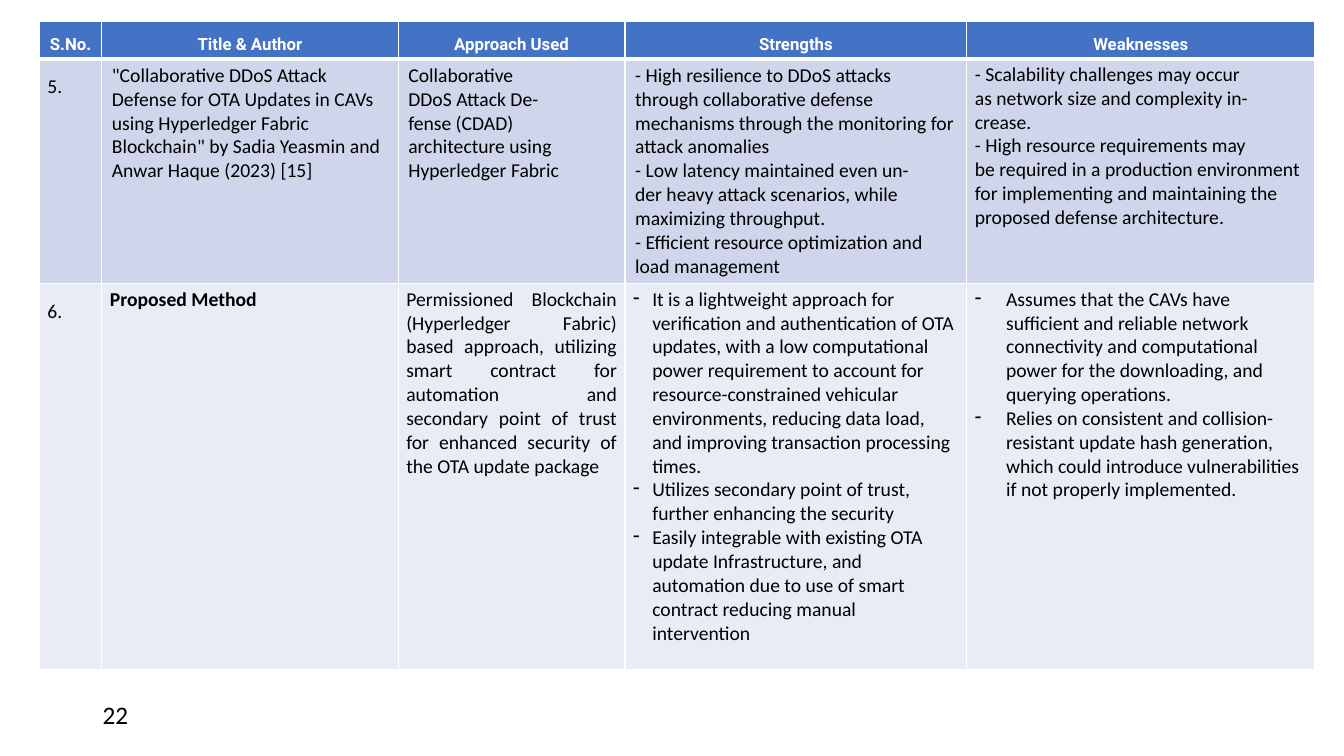
from dataclasses import dataclass

from lxml.etree import SubElement
from pptx import Presentation
from pptx.dml.color import RGBColor
from pptx.enum.text import MSO_ANCHOR as Anchor, PP_ALIGN as Align
from pptx.oxml.ns import qn
from pptx.util import Pt

PX = 9144  # EMU per px, 100 px to the inch

WHITE = RGBColor(0xFF, 0xFF, 0xFF)
BLACK = RGBColor(0x00, 0x00, 0x00)
HEADER_BLUE = RGBColor(0x44, 0x72, 0xC4)
BAND_DARK = RGBColor(0xCF, 0xD5, 0xEA)
BAND_LIGHT = RGBColor(0xE9, 0xEB, 0xF5)

COLUMN_WIDTHS = [62, 294, 225, 339, 345]
ROW_HEIGHTS = [33, 209, 383]
HEADER_INSETS, TIGHT, WIDE = (7, 4), (8, 4), (10, 5)


@dataclass
class Entry:
    paragraphs: list
    insets: tuple = TIGHT
    align: Align = Align.LEFT
    spacing: float = 1.0
    bold: bool = False
    dash_indent: int = 0


def number_entry(text):
    return Entry([text], align=Align.JUSTIFY, spacing=1.5)


HEADERS = ["S.No.", "Title & Author", "Approach Used", "Strengths", "Weaknesses"]

COLLABORATIVE_DEFENSE = [
    number_entry("5."),
    Entry(['"Collaborative DDoS Attack Defense for OTA Updates in CAVs using '
           'Hyperledger Fabric Blockchain" by Sadia Yeasmin and Anwar Haque (2023) [15]'], WIDE),
    Entry(["Collaborative",
           "DDoS Attack De-",
           "fense (CDAD)",
           "architecture using",
           "Hyperledger Fabric"], WIDE),
    Entry(["- High resilience to DDoS attacks",
           "through collaborative defense mechanisms through the monitoring for",
           "attack anomalies",
           "- Low latency maintained even un-",
           "der heavy attack scenarios, while",
           "maximizing throughput.",
           "- Efficient resource optimization and load management"], WIDE),
    Entry(["- Scalability challenges may occur",
           "as network size and complexity in-",
           "crease.",
           "- High resource requirements may",
           "be required in a production environment for implementing and "
           "maintaining the proposed defense architecture."]),
]

PROPOSED_METHOD = [
    number_entry("6."),
    Entry(["Proposed Method"], align=Align.JUSTIFY, bold=True),
    Entry(["Permissioned Blockchain (Hyperledger Fabric) based approach, utilizing "
           "smart contract for automation and secondary point of trust for enhanced "
           "security of the OTA update package"], align=Align.JUSTIFY),
    Entry(["It is a lightweight approach for verification and authentication of OTA "
           "updates, with a low computational power requirement to account for "
           "resource-constrained vehicular environments, reducing data load, and "
           "improving transaction processing times.",
           "Utilizes secondary point of trust, further enhancing the security",
           "Easily integrable with existing OTA update Infrastructure, and automation "
           "due to use of smart contract reducing manual intervention"], dash_indent=19),
    Entry(["Assumes that the CAVs have sufficient and reliable network connectivity and "
           "computational power for the downloading, and querying operations.",
           "Relies on consistent and collision-resistant update hash generation, which "
           "could introduce vulnerabilities if not properly implemented."], dash_indent=31),
]


def add_run(paragraph, text, font_name, size, color, bold=False):
    run = paragraph.add_run()
    run.text = text
    run.font.name = font_name
    run.font.size = Pt(size)
    run.font.bold = bold
    run.font.color.rgb = color


def add_dash(paragraph, indent):
    properties = paragraph._p.get_or_add_pPr()
    properties.set("marL", str(indent * PX))
    properties.set("indent", str(-indent * PX))
    SubElement(properties, qn("a:buChar"), char="-")


def add_borders(cell, widths):
    """Draw white borders; widths maps each side to points."""
    properties = cell._tc.get_or_add_tcPr()
    for side in "LRTB":
        line = SubElement(properties, qn(f"a:ln{side}"), w=str(Pt(widths[side])))
        fill = SubElement(line, qn("a:solidFill"))
        SubElement(fill, qn("a:srgbClr"), val=str(WHITE))


def fill_cell(cell, entry, fill, font_name, size, color, border_widths):
    add_borders(cell, border_widths)
    cell.fill.solid()
    cell.fill.fore_color.rgb = fill
    side, top = entry.insets
    cell.margin_left = cell.margin_right = side * PX
    cell.margin_top = cell.margin_bottom = top * PX
    frame = cell.text_frame
    for index, text in enumerate(entry.paragraphs):
        paragraph = frame.add_paragraph() if index else frame.paragraphs[0]
        paragraph.alignment = entry.align
        paragraph.line_spacing = entry.spacing
        if entry.dash_indent:
            add_dash(paragraph, entry.dash_indent)
        add_run(paragraph, text, font_name, size, color, entry.bold)


def add_comparison_table(slide, left, top):
    frame = slide.shapes.add_table(
        len(ROW_HEIGHTS), len(COLUMN_WIDTHS), left * PX, top * PX,
        sum(COLUMN_WIDTHS) * PX, sum(ROW_HEIGHTS) * PX)
    table = frame.table
    for column, width in zip(table.columns, COLUMN_WIDTHS):
        column.width = width * PX
    for row, height in zip(table.rows, ROW_HEIGHTS):
        row.height = height * PX

    header = [Entry([text], HEADER_INSETS, Align.CENTER, 1.5, True) for text in HEADERS]
    thin = dict.fromkeys("LRTB", 1)
    row_styles = [
        (header, HEADER_BLUE, "Roboto", 12, WHITE, thin | {"B": 3}),
        (COLLABORATIVE_DEFENSE, BAND_DARK, "Calibri", 14, BLACK, thin | {"T": 3}),
        (PROPOSED_METHOD, BAND_LIGHT, "Calibri", 14, BLACK, thin),
    ]
    for row, (entries, *style) in zip(table.rows, row_styles):
        for cell, entry in zip(row.cells, entries):
            fill_cell(cell, entry, *style)


def add_page_number(slide, left, top, width, height):
    box = slide.shapes.add_textbox(left * PX, top * PX, width * PX, height * PX)
    frame = box.text_frame
    frame.word_wrap = True
    frame.vertical_anchor = Anchor.MIDDLE
    add_run(frame.paragraphs[0], "22", "Calibri", 18, BLACK)


def main():
    presentation = Presentation()
    presentation.slide_width = 1333 * PX
    presentation.slide_height = 750 * PX
    slide = presentation.slides.add_slide(presentation.slide_layouts[6])

    # Comparison of methods
    add_comparison_table(slide, 39, 21)
    # Footer
    add_page_number(slide, 92, 689, 300, 40)

    presentation.save("out.pptx")


if __name__ == "__main__":
    main()
